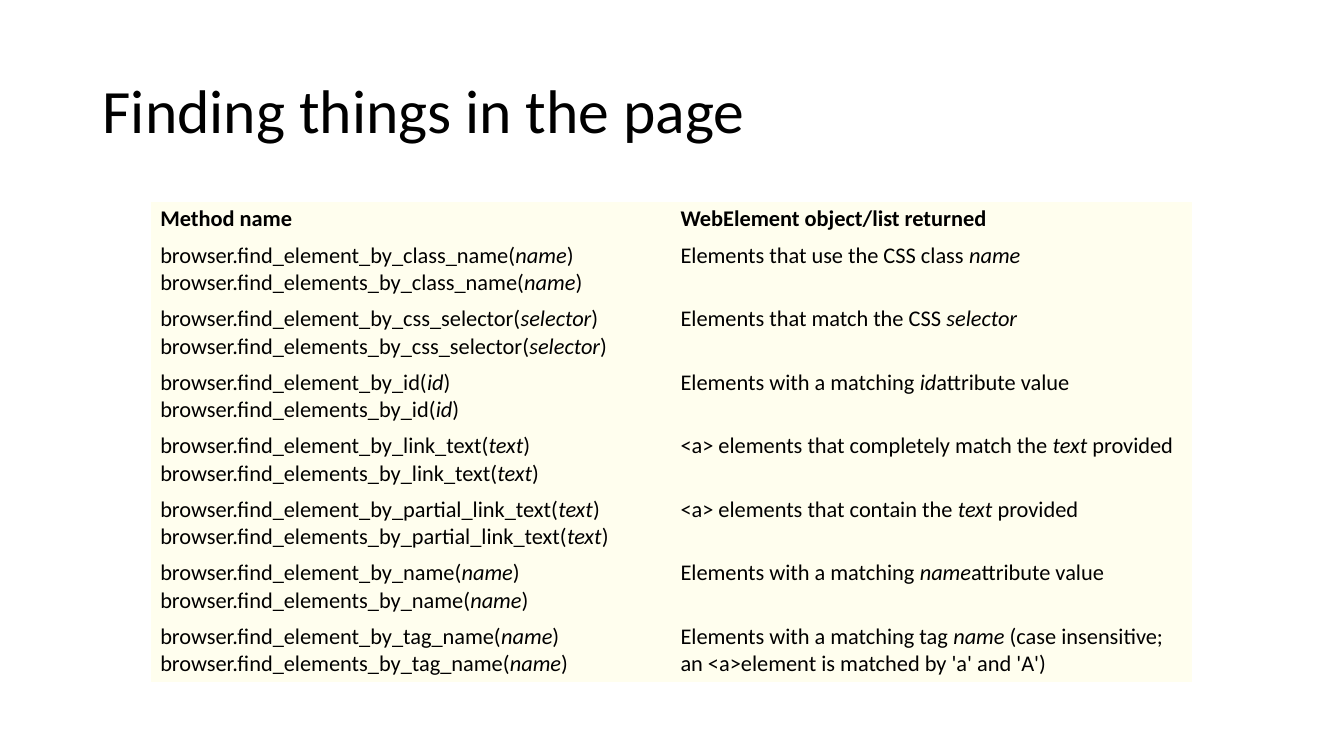
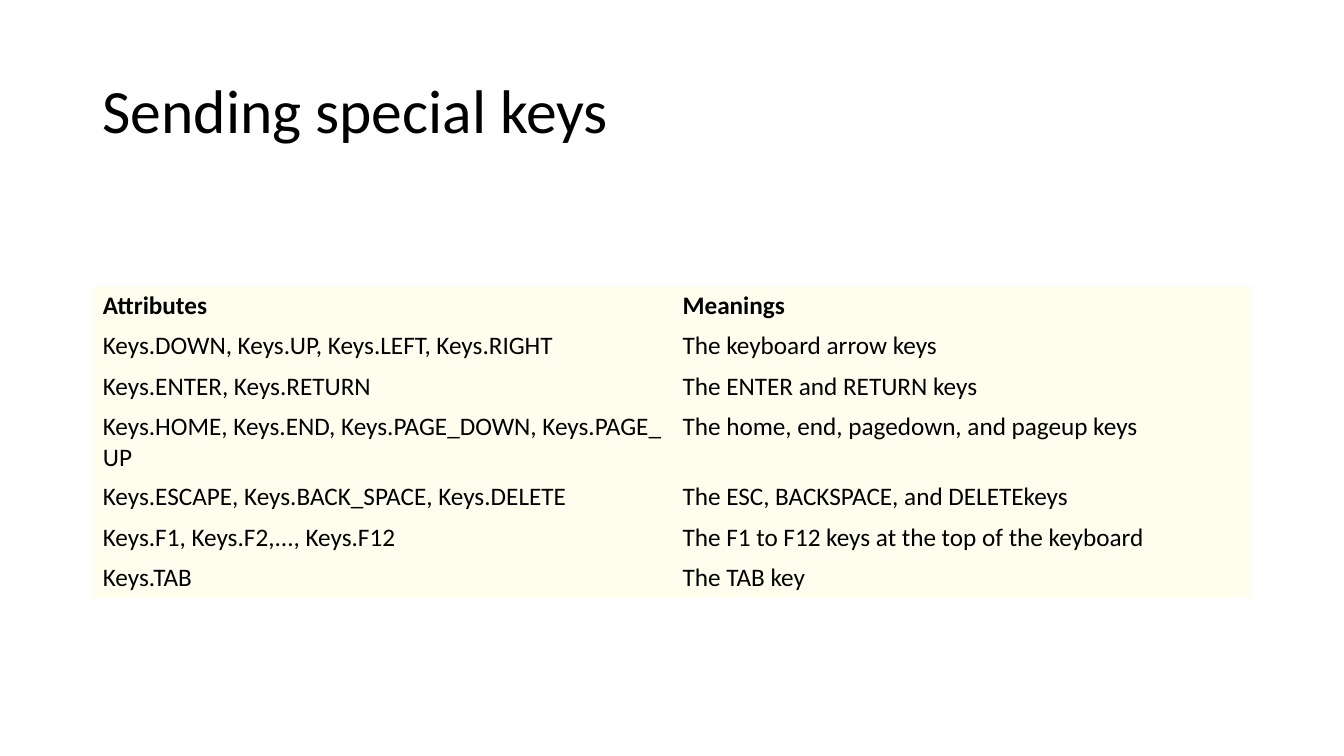
"""Build two slides of browser automation reference tables."""
import dataclasses
import typing

import pptx
import pptx.dml.color
import pptx.enum.text
import pptx.oxml.ns
import pptx.slide
import pptx.table
import pptx.text.text
import pptx.util

Inches = pptx.util.Inches
Pt = pptx.util.Pt

FONT_NAME = "Calibri"
TEXT_COLOR = pptx.dml.color.RGBColor(0x00, 0x00, 0x00)
CELL_COLOR = pptx.dml.color.RGBColor(0xFF, 0xFE, 0xEE)
PLAIN_TABLE_STYLE = "{2D5ABB26-0587-4C30-8999-92F81FD0307C}"
BLANK_LAYOUT_INDEX = 6
ITALIC_MARK = "*"
TIE_MARK = "~"
NO_BREAK_SPACE = chr(160)

Row = typing.Tuple[str, str]


@dataclasses.dataclass(frozen=True)
class ReferenceTable:
    """Describe a titled two-column table; * toggles italics and ~ ties words."""

    title: str
    left: float
    top: float
    column_width: float
    header_height: float
    row_height: float
    font_size: int
    margins: typing.Tuple[float, float]
    rows: typing.List[Row]


def finder_row(locator: str, argument: str, result: str) -> Row:
    """Pair the singular and plural finder methods with what they return."""
    calls = [f"browser.find_{noun}_by_{locator}(*{argument}*)" for noun in ("element", "elements")]
    return " ".join(calls), result


REFERENCE_TABLES = [
    ReferenceTable(
        title="Finding things in the page",
        left=1.5, top=2, column_width=5.16,
        header_height=0.36, row_height=0.63,
        font_size=16, margins=(0.09, 0.04),
        rows=[
            ("Method name", "WebElement object/list returned"),
            finder_row("class_name", "name", "Elements that use the CSS class~*name*"),
            finder_row("css_selector", "selector", "Elements that match the CSS~*selector*"),
            finder_row("id", "id", "Elements with a matching~*id*attribute value"),
            finder_row("link_text", "text", "<a>~elements that completely match the~*text*~provided"),
            finder_row("partial_link_text", "text", "<a>~elements that contain the~*text*~provided"),
            finder_row("name", "name", "Elements with a matching~*name*attribute value"),
            finder_row(
                "tag_name", "name",
                "Elements with a matching tag~*name*~(case insensitive; "
                "an~<a>element is matched by~'a'~and~'A')",
            ),
        ],
    ),
    ReferenceTable(
        title="Sending special keys",
        left=0.92, top=2.83, column_width=5.75,
        header_height=0.4, row_height=0.4,
        font_size=18, margins=(0.1, 0.05),
        rows=[
            ("Attributes", "Meanings"),
            ("Keys.DOWN,~Keys.UP,~Keys.LEFT,~Keys.RIGHT", "The keyboard arrow keys"),
            ("Keys.ENTER,~Keys.RETURN", "The~ENTER~and~RETURN~keys"),
            (
                "Keys.HOME,~Keys.END,~Keys.PAGE_DOWN,~Keys.PAGE_UP",
                "The~home,~end,~pagedown, and~pageup~keys",
            ),
            ("Keys.ESCAPE,~Keys.BACK_SPACE,~Keys.DELETE", "The~ESC,~BACKSPACE, and~DELETEkeys"),
            ("Keys.F1,~Keys.F2,...,~Keys.F12", "The F1 to F12 keys at the top of the keyboard"),
            ("Keys.TAB", "The~TAB~key"),
        ],
    ),
]


def apply_format(target: typing.Any, values: typing.Dict[str, typing.Any]) -> None:
    """Set each named attribute on the target."""
    for name, value in values.items():
        setattr(target, name, value)


def write_text(paragraph: pptx.text.text._Paragraph, text: str, size: int, bold: bool = False) -> None:
    """Write marked text as alternating upright and italic runs."""
    pieces = text.replace(TIE_MARK, NO_BREAK_SPACE).split(ITALIC_MARK)
    for index, piece in enumerate(pieces):
        if piece:
            run = paragraph.add_run()
            run.text = piece
            apply_format(run.font, {
                "name": FONT_NAME, "size": Pt(size), "bold": bold, "italic": index % 2 == 1,
            })
            run.font.color.rgb = TEXT_COLOR


def add_title(slide: pptx.slide.Slide, title: str) -> None:
    """Add the title shared by all slides."""
    shape = slide.shapes.add_textbox(Inches(0.92), Inches(0.4), Inches(11.5), Inches(1.45))
    apply_format(shape.text_frame, {
        "word_wrap": True, "vertical_anchor": pptx.enum.text.MSO_ANCHOR.MIDDLE,
    })
    paragraph = shape.text_frame.paragraphs[0]
    paragraph.line_spacing = 0.9
    write_text(paragraph, title, 44)


def fill_cell(cell: pptx.table._Cell, text: str, reference: ReferenceTable, bold: bool) -> None:
    """Colour a cell and write its text."""
    horizontal, vertical = (Inches(margin) for margin in reference.margins)
    apply_format(cell, {
        "margin_left": horizontal, "margin_right": horizontal,
        "margin_top": vertical, "margin_bottom": vertical,
    })
    cell.fill.solid()
    cell.fill.fore_color.rgb = CELL_COLOR
    write_text(cell.text_frame.paragraphs[0], text, reference.font_size, bold)


def add_reference_table(slide: pptx.slide.Slide, reference: ReferenceTable) -> None:
    """Add the table with a bold header row and no borders."""
    row_count = len(reference.rows)
    column_count = len(reference.rows[0])
    height = reference.header_height + reference.row_height * (row_count - 1)
    frame = slide.shapes.add_table(
        row_count, column_count, Inches(reference.left), Inches(reference.top),
        Inches(reference.column_width * column_count), Inches(height),
    )
    table = frame.table
    apply_format(table, {"first_row": False, "horz_banding": False})
    for style in table._tbl.iter(pptx.oxml.ns.qn("a:tableStyleId")):
        style.text = PLAIN_TABLE_STYLE
    for column in table.columns:
        column.width = Inches(reference.column_width)
    for row_index, texts in enumerate(reference.rows):
        is_header = row_index == 0
        table.rows[row_index].height = Inches(
            reference.header_height if is_header else reference.row_height
        )
        for column_index, text in enumerate(texts):
            fill_cell(table.cell(row_index, column_index), text, reference, is_header)


def main() -> None:
    """Build and save the presentation."""
    presentation = pptx.Presentation()
    apply_format(presentation, {"slide_width": Inches(13.33), "slide_height": Inches(7.5)})
    for reference in REFERENCE_TABLES:
        slide = presentation.slides.add_slide(presentation.slide_layouts[BLANK_LAYOUT_INDEX])
        add_title(slide, reference.title)
        add_reference_table(slide, reference)
    presentation.save("out.pptx")


if __name__ == "__main__":
    main()
